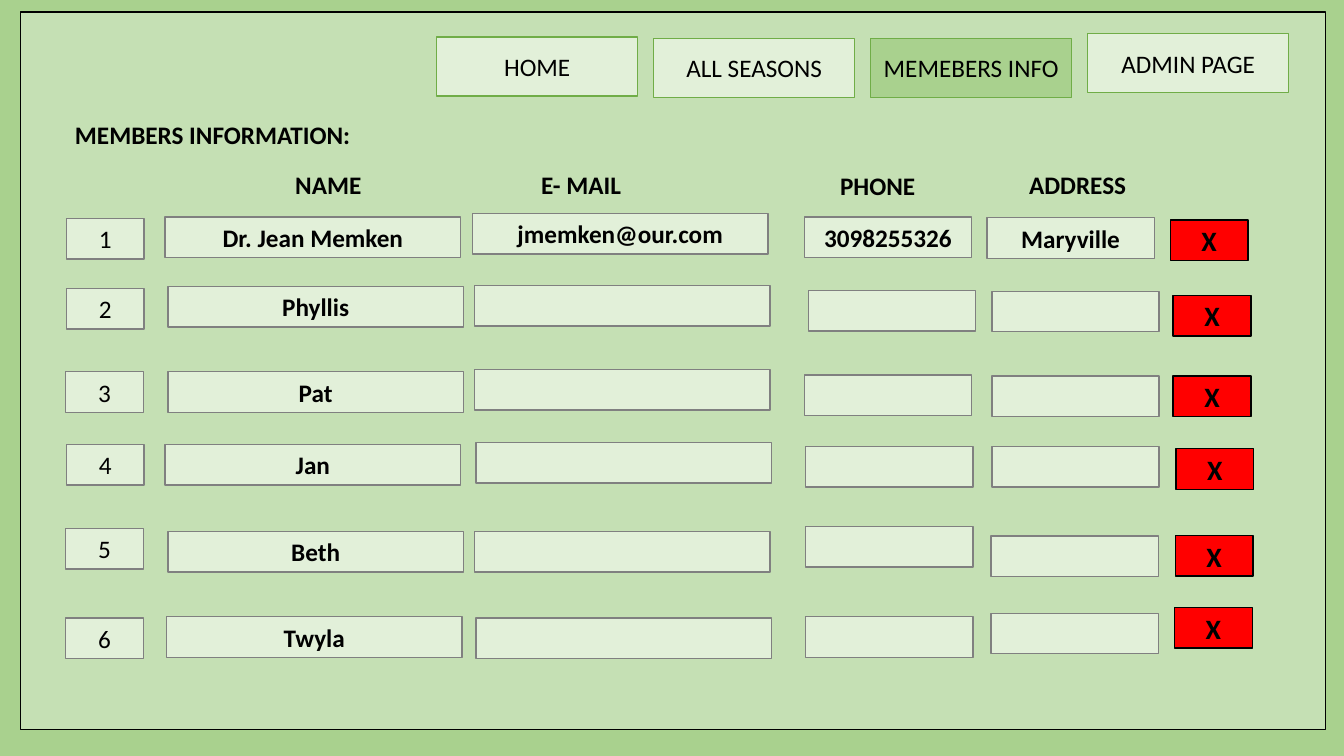
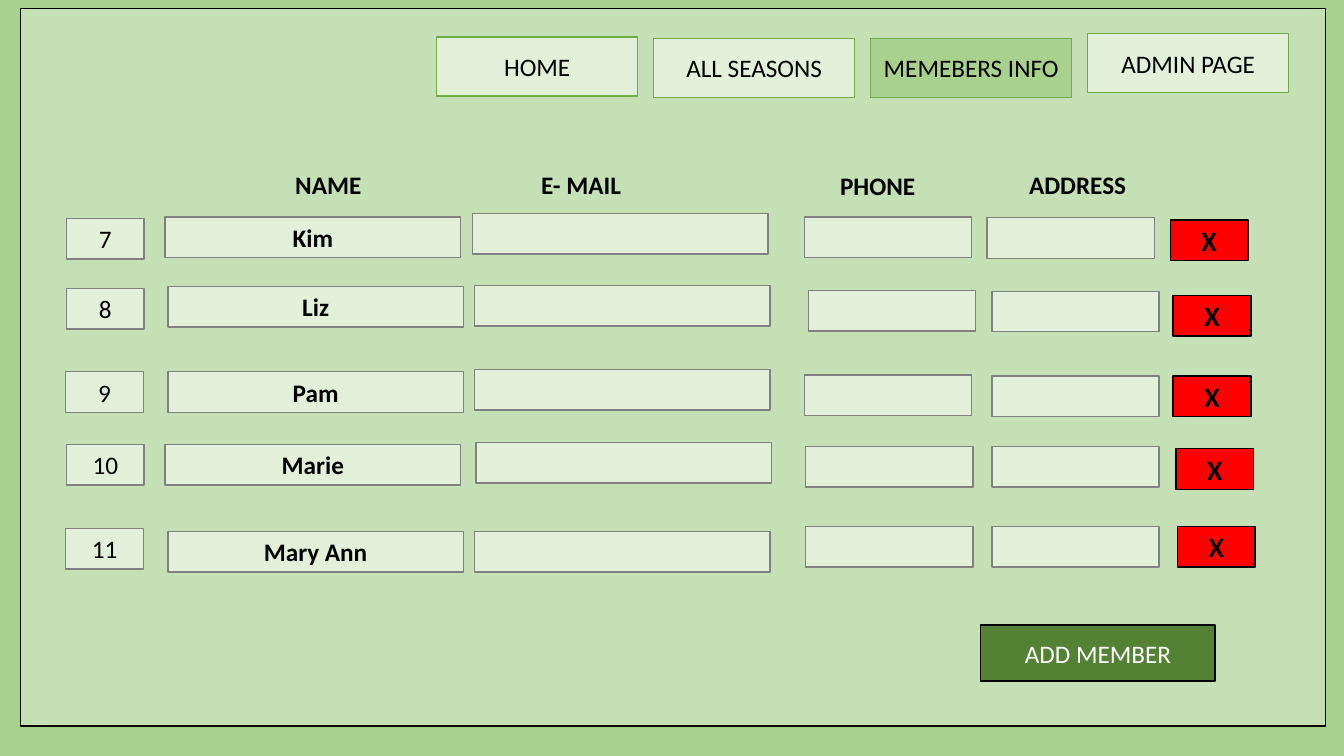
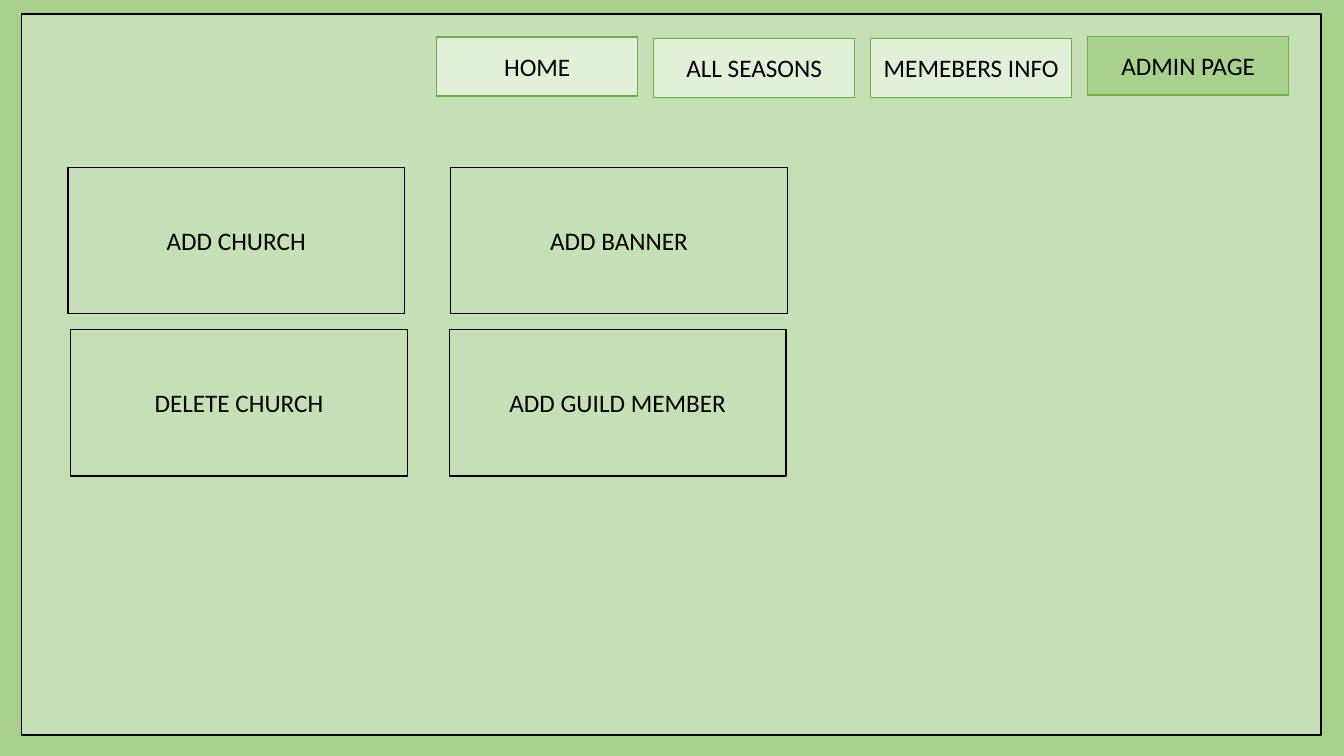
from dataclasses import dataclass

from pptx import Presentation
from pptx.dml.color import RGBColor
from pptx.enum import shapes, text
from pptx.util import Pt


@dataclass(frozen=True)
class Theme:
    backdrop: str = "A9D18E"
    panel: str = "C5E0B4"
    field: str = "E2F0D9"
    active: str = "A9D18E"
    accent: str = "70AD47"
    button: str = "548235"
    delete: str = "FF0000"
    grey: str = "808080"
    black: str = "000000"
    white: str = "FFFFFF"
    font: str = "Calibri"
    body: int = 18
    mark: int = 20
    line: int = 1


# Navigation: label and top of each tab, spaced evenly from the left
TABS = (("HOME", 26.5), ("ALL SEASONS", 27.5), ("MEMEBERS INFO", 27.5), ("ADMIN PAGE", 24))
TAB_LEFT, TAB_STEP, TAB_WIDTH, TAB_HEIGHT = 312, 155, 143.5, 42

# Member list: headings, field widths, and the left and top of the fields in each row
HEADINGS = (("NAME", 184.5, 117.5, 100, True), ("E- MAIL", 379.5, 117.5, 100, False),
            ("PHONE", 593, 118, 102, False), ("ADDRESS", 728, 117.5, 111, False))
FIELD_WIDTHS = (55.5, 211, 211, 119.5, 119.5)
DELETE_WIDTH, FIELD_HEIGHT = 55.5, 29
ROWS = (
    ((47.5, 156), (118, 155), (337.5, 152.5), (574.5, 155), (705, 155.5), (836, 157)),
    ((47.5, 206), (120, 204.5), (339, 204), (577.5, 207.5), (708.5, 208), (838, 211)),
    ((47, 265.5), (120, 265.5), (339, 264), (574.5, 268), (708.5, 268.5), (838, 268.5)),
    ((47.5, 317.5), (118, 317.5), (340, 316), (575.5, 319), (708.5, 319), (840, 320.5)),
    ((47, 377.5), (120, 379.5), (339, 379.5), (575.5, 376), (708, 383), (839.5, 382.5)),
    ((47, 441.5), (119, 440.5), (340, 441.5), (575.5, 440.5), (708, 438), (839, 434)),
)
LAST_ROW = ROWS[4][:4] + ((708.5, 376), (841, 376))

FIRST_MEMBERS = (("Dr. Jean Memken", "jmemken@our.com", "3098255326", "Maryville"),
                 ("Phyllis",), ("Pat",), ("Jan",), ("Beth",), ("Twyla",))
MORE_MEMBERS = (("Kim",), ("Liz",), ("Pam",), ("Marie",), ("Mary Ann",))

# Admin page: label, left and top of each large button
ADMIN_BUTTONS = (("ADD CHURCH", 48.5, 119.5), ("ADD BANNER", 322, 119.5),
                 ("DELETE CHURCH", 50.5, 235.5), ("ADD GUILD MEMBER", 321, 235.5))


class Mockup:
    def __init__(self, theme):
        self.theme = theme
        self.deck = Presentation()
        self.deck.slide_width, self.deck.slide_height = Pt(960), Pt(540)
        self.page = None

    def new_page(self, panel, active, admin_top=24):
        """Start a page with its panel and navigation tabs."""
        theme = self.theme
        self.page = self.deck.slides.add_slide(self.deck.slide_layouts[6])
        fill = self.page.background.fill
        fill.solid()
        fill.fore_color.rgb = RGBColor.from_string(theme.backdrop)
        self.box(*panel, theme.panel, theme.black)
        for index, (label, top) in enumerate(TABS):
            if label == "ADMIN PAGE":
                top = admin_top
            colour = theme.active if label == active else theme.field
            self.box(TAB_LEFT + index * TAB_STEP, top, TAB_WIDTH, TAB_HEIGHT,
                     colour, theme.accent, label)

    def add_words(self, frame, words, colour, size, bold, centred):
        para = frame.paragraphs[0]
        para.alignment = text.PP_ALIGN.CENTER if centred else text.PP_ALIGN.LEFT
        span = para.add_run()
        span.text = words
        span.font.name = self.theme.font
        span.font.size = Pt(size)
        span.font.bold = bold
        span.font.color.rgb = RGBColor.from_string(colour)

    def box(self, left, top, width, height, fill, line, words="",
            colour=None, size=None, bold=False):
        box = self.page.shapes.add_shape(shapes.MSO_SHAPE.RECTANGLE,
                                         Pt(left), Pt(top), Pt(width), Pt(height))
        box.shadow.inherit = False
        box.fill.solid()
        box.fill.fore_color.rgb = RGBColor.from_string(fill)
        box.line.color.rgb = RGBColor.from_string(line)
        box.line.width = Pt(self.theme.line)
        if words:
            box.text_frame.vertical_anchor = text.MSO_ANCHOR.MIDDLE
            self.add_words(box.text_frame, words, colour or self.theme.black,
                           size or self.theme.body, bold, True)

    def label(self, words, left, top, width, centred=False):
        box = self.page.shapes.add_textbox(Pt(left), Pt(top), Pt(width), Pt(FIELD_HEIGHT))
        box.text_frame.word_wrap = True
        self.add_words(box.text_frame, words, self.theme.black, self.theme.body, True, centred)

    def member_list(self, members, rows, first_number):
        theme = self.theme
        for heading in HEADINGS:
            self.label(*heading)
        for number, (member, places) in enumerate(zip(members, rows), first_number):
            values = (str(number), *member) + ("",) * (4 - len(member))
            for column, (value, place, width) in enumerate(zip(values, places, FIELD_WIDTHS)):
                self.box(*place, width, FIELD_HEIGHT, theme.field, theme.grey,
                         value, bold=column > 0)
            self.box(*places[-1], DELETE_WIDTH, FIELD_HEIGHT, theme.delete, theme.black,
                     "X", size=theme.mark, bold=True)


def main():
    theme = Theme()
    mockup = Mockup(theme)

    # Members 1 to 6
    mockup.new_page((14.5, 8.5, 932.5, 512.5), "MEMEBERS INFO")
    mockup.label("MEMBERS INFORMATION:", 46.5, 82, 221)
    mockup.member_list(FIRST_MEMBERS, ROWS, 1)

    # Members 7 to 11
    mockup.new_page((14.5, 6, 932.5, 512.5), "MEMEBERS INFO")
    mockup.member_list(MORE_MEMBERS, ROWS[:4] + (LAST_ROW,), 7)
    mockup.box(700.5, 446.5, 167.5, 40, theme.button, theme.black, "ADD MEMBER", theme.white)

    # Admin page
    mockup.new_page((15.5, 10, 928, 515), "ADMIN PAGE", admin_top=26)
    for words, left, top in ADMIN_BUTTONS:
        mockup.box(left, top, 240.5, 104.5, theme.panel, theme.black, words)

    mockup.deck.save("out.pptx")


if __name__ == "__main__":
    main()
